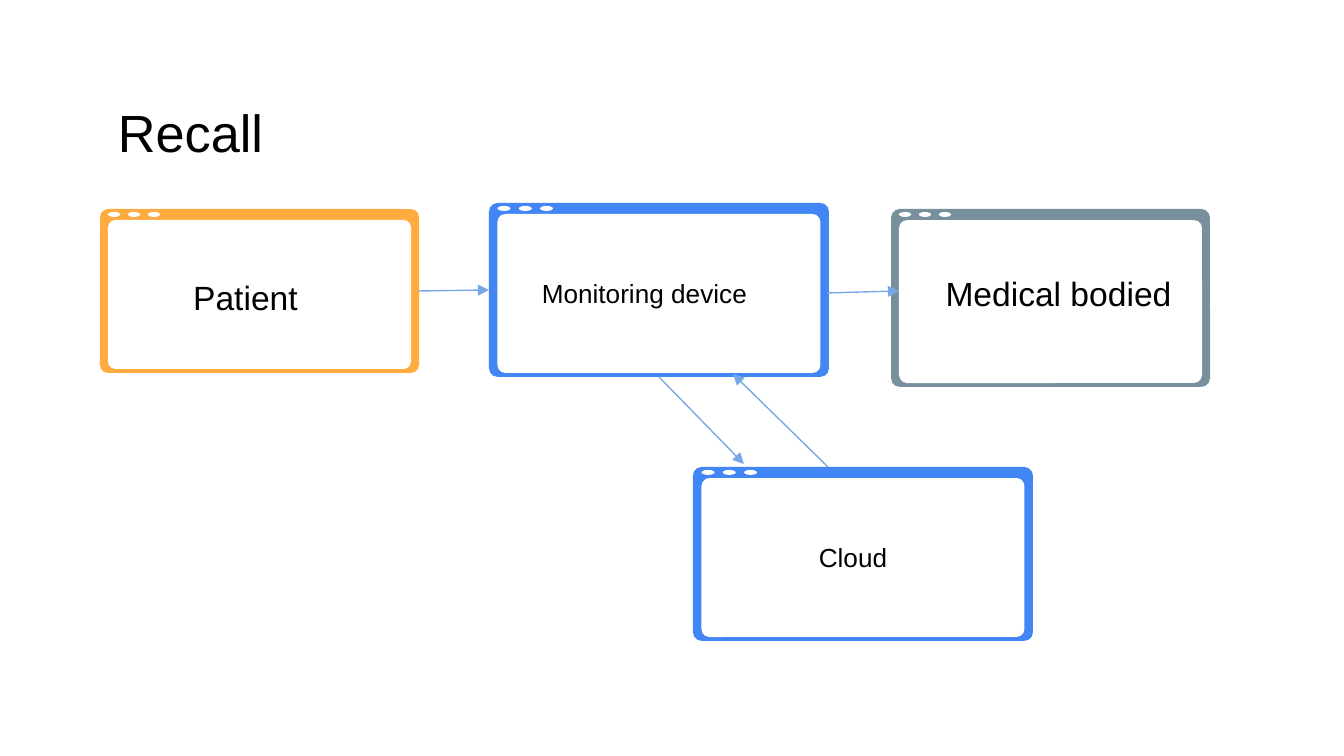
import pptx
import pptx.util
import pptx.dml.color
import pptx.enum.shapes
import pptx.enum.text
import lxml.etree

PX = 914400 / 134.4
KIND = pptx.enum.shapes.MSO_SHAPE
ALIGN = pptx.enum.text.PP_ALIGN
ANCHOR = pptx.enum.text.MSO_ANCHOR
NS = "http://schemas.openxmlformats.org/drawingml/2006/main"

PANES = [
    ("medical", "78909C", (891, 209, 319, 178), "", 0),
    ("patient", "FFAB40", (100, 209, 319, 164), "", 0),
    ("monitor", "4285F4", (489, 203, 340, 174), "Monitoring device", 42),
    ("cloud", "4285F4", (693, 467, 340, 174), "Cloud", 115),
]
LABELS = [
    ("Recall", (105, 81, 1134, 69), 28, ALIGN.LEFT, 19),
    ("Patient", (86, 261, 319, 69), 18, ALIGN.CENTER, 16),
    ("Medical bodied", (899, 257, 319, 69), 18, ALIGN.CENTER, 16),
]
ARROWS = [
    ((418, 291), (489, 290), ("patient", 3), ("monitor", 1)),
    ((657, 376), (744, 464), ("monitor", 2), None),
    ((827, 293), (899, 291), None, None),
    ((828, 467), (733, 374), None, None),
]


def px(n):
    return round(n * PX)


def hue(code):
    return pptx.dml.color.RGBColor.from_string(code)


def style(item, **vals):
    for key, val in vals.items():
        setattr(item, key, val)


def block(kind, box, fill):
    part = slide.shapes.add_shape(kind, *map(px, box))
    part.shadow.inherit = False
    part.fill.solid()
    part.fill.fore_color.rgb = hue(fill)
    part.line.fill.background()
    return part


def write(part, text, size, align, anchor, left, top):
    frame = part.text_frame
    style(frame, word_wrap=True, vertical_anchor=anchor, margin_left=px(left),
          margin_top=px(top), margin_right=px(13), margin_bottom=px(13))
    para = frame.paragraphs[0]
    para.alignment = align
    run = para.add_run()
    run.text = text
    style(run.font, name="Arial", size=pptx.util.Pt(size))
    run.font.color.rgb = hue("000000")


def pane(fill, box, text, left):
    x, y, w, h = box
    edge = w / 40
    outer = block(KIND.ROUNDED_RECTANGLE, box, fill)
    outer.adjustments[0] = 0.05
    inner = block(KIND.ROUNDED_RECTANGLE, (x + edge, y + 11, w - 2 * edge, h - 15), "FFFFFF")
    inner.adjustments[0] = 0.05
    if text:
        write(inner, text, 14, ALIGN.LEFT, ANCHOR.MIDDLE, left, 13)
    for i in range(3):
        block(KIND.OVAL, (x + edge + i * w / 16, y + 3, w / 26, 5), "FFFFFF")
    return outer


def arrow(start, end, tail, head):
    line = slide.shapes.add_connector(
        pptx.enum.shapes.MSO_CONNECTOR.STRAIGHT, *map(px, start + end))
    if tail:
        line.begin_connect(frames[tail[0]], tail[1])
    if head:
        line.end_connect(frames[head[0]], head[1])
    line.line.width = pptx.util.Pt(0.75)
    line.line.color.rgb = hue("78A7E8")
    tip = lxml.etree.SubElement(line.line._get_or_add_ln(), f"{{{NS}}}tailEnd")
    tip.set("type", "triangle")
    lxml.etree.SubElement(line._element.spPr, f"{{{NS}}}effectLst")


deck = pptx.Presentation()
style(deck, slide_width=px(1344), slide_height=px(756))
slide = deck.slides.add_slide(deck.slide_layouts[6])

frames = {name: pane(*rest) for name, *rest in PANES}
for text, box, size, align, top in LABELS:
    label = slide.shapes.add_textbox(*map(px, box))
    write(label, text, size, align, ANCHOR.TOP, 13, top)
for ends in ARROWS:
    arrow(*ends)

deck.save("out.pptx")
